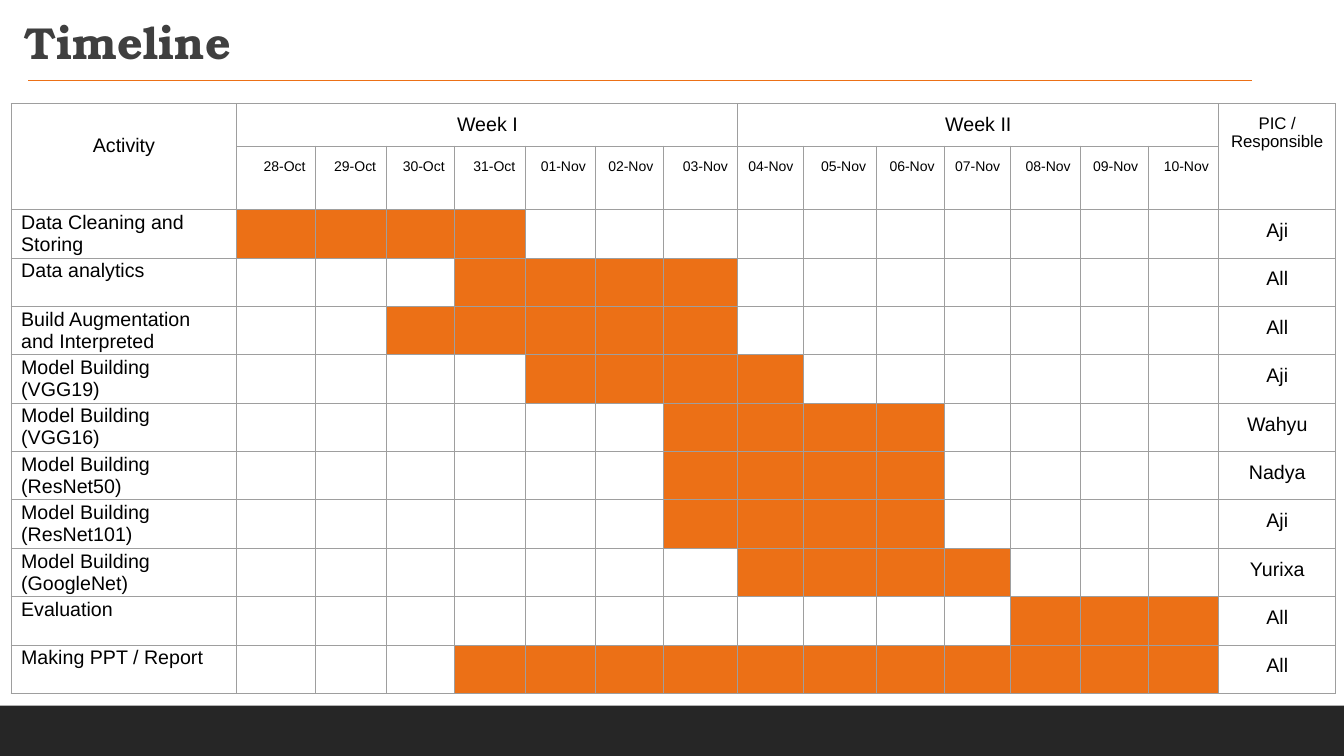
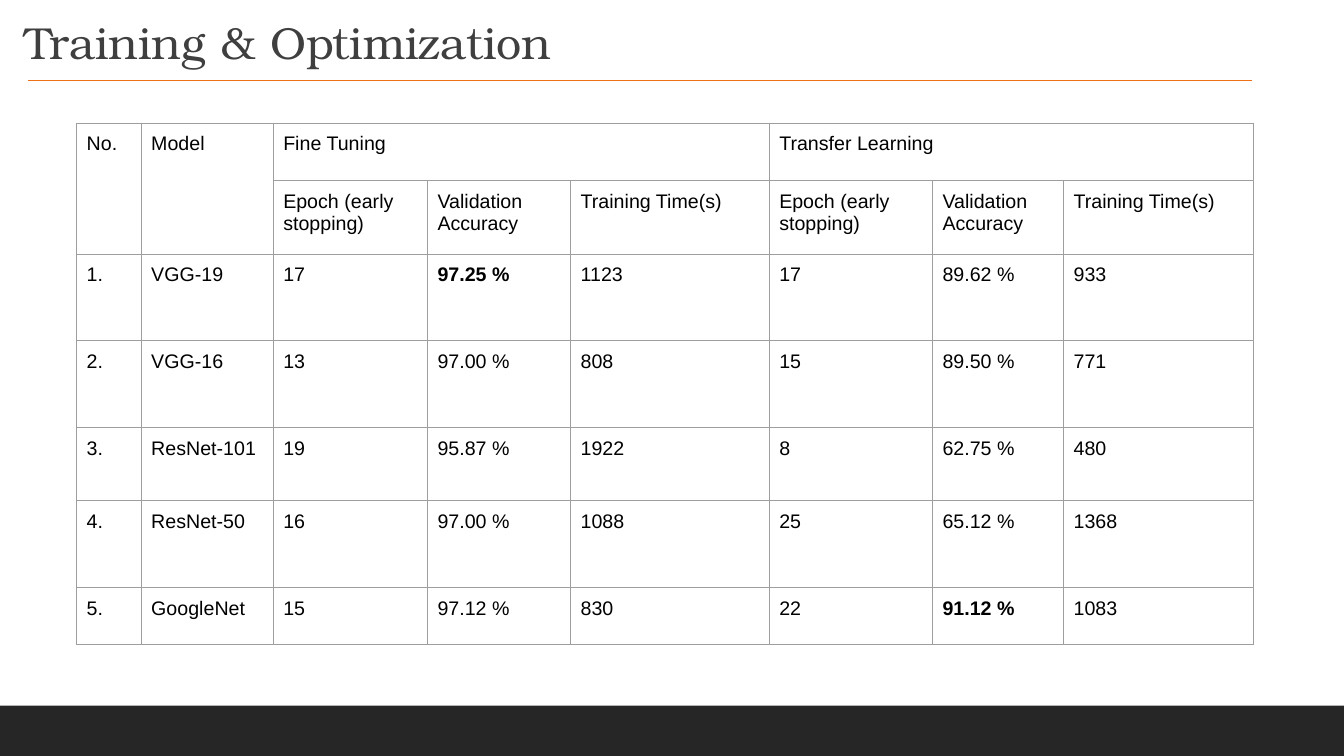
"""Build the project timeline and training results slides."""
from lxml import etree
from pptx import Presentation
from pptx import util as u
from pptx.dml.color import RGBColor
from pptx.enum import shapes, text
from pptx.oxml import ns

COLOURS = {
    "bar": "EC7016",
    "band": "262626",
    "title": "3F3F3F",
    "body": "000000",
    "border": "9E9E9E",
    "paper": "FFFFFF",
}
TITLE_FONT = "TeX Gyre Bonum"
BODY_FONT = "Arial"

WEEKS = ["Week I", "Week II"]
DAYS_PER_WEEK = 7
DATES = [
    "28-Oct", "29-Oct", "30-Oct", "31-Oct", "01-Nov", "02-Nov", "03-Nov",
    "04-Nov", "05-Nov", "06-Nov", "07-Nov", "08-Nov", "09-Nov", "10-Nov",
]
ACTIVITIES = [
    ("Data Cleaning and Storing", "28-Oct", "31-Oct", "Aji"),
    ("Data analytics", "31-Oct", "03-Nov", "All"),
    ("Build Augmentation and Interpreted", "30-Oct", "03-Nov", "All"),
    ("Model Building (VGG19)", "01-Nov", "04-Nov", "Aji"),
    ("Model Building (VGG16)", "03-Nov", "06-Nov", "Wahyu"),
    ("Model Building (ResNet50)", "03-Nov", "06-Nov", "Nadya"),
    ("Model Building (ResNet101)", "03-Nov", "06-Nov", "Aji"),
    ("Model Building (GoogleNet)", "04-Nov", "07-Nov", "Yurixa"),
    ("Evaluation", "08-Nov", "10-Nov", "All"),
    ("Making PPT / Report", "31-Oct", "10-Nov", "All"),
]
TIMELINE_COLUMNS = [2.24, 0.78, 0.7, 0.68, 0.7, 0.7, 0.67, 0.74,
                    0.65, 0.72, 0.68, 0.65, 0.7, 0.67, 0.7, 1.16]
TIMELINE_ROWS = [0.42, 0.63] + [0.48] * len(ACTIVITIES)

KEYS = ["No.", "Model"]
METHODS = ["Fine Tuning", "Transfer Learning"]
MEASURES = ["Epoch (early stopping)", "Validation Accuracy", "Training Time(s)"]
RESULTS = [
    ("1.", "VGG-19", "17", "97.25 %", "1123", "17", "89.62 %", "933"),
    ("2.", "VGG-16", "13", "97.00 %", "808", "15", "89.50 %", "771"),
    ("3.", "ResNet-101", "19", "95.87 %", "1922", "8", "62.75 %", "480"),
    ("4.", "ResNet-50", "16", "97.00 %", "1088", "25", "65.12 %", "1368"),
    ("5.", "GoogleNet", "15", "97.12 %", "830", "22", "91.12 %", "1083"),
]
BEST = {"97.25 %", "91.12 %"}
RESULT_COLUMNS = [0.64, 1.31, 1.53, 1.42, 1.97, 1.62, 1.3, 1.88]
RESULT_ROWS = [0.57, 0.73, 0.86, 0.86, 0.73, 0.86, 0.56]


def colour(name):
    return RGBColor.from_string(COLOURS[name])


def write(frame, words, size=14, font=BODY_FONT, ink="body", bold=False,
          align="LEFT", spacing=1.0):
    para = frame.paragraphs[0]
    para.alignment = getattr(text.PP_ALIGN, align)
    para.line_spacing = spacing
    span = para.add_run()
    span.text = words
    span.font.size = u.Pt(size)
    span.font.name = font
    span.font.bold = bold
    span.font.color.rgb = colour(ink)


def write_cell(cell, words, top=0.1, bottom=0.1, **style):
    cell.margin_left = cell.margin_right = u.Inches(0.1)
    cell.margin_top, cell.margin_bottom = u.Inches(top), u.Inches(bottom)
    write(cell.text_frame, words, **style)


def paint(cell, name):
    cell.fill.solid()
    cell.fill.fore_color.rgb = colour(name)


def add_borders(cell):
    properties = cell._tc.get_or_add_tcPr()
    for place, side in enumerate(("lnL", "lnR", "lnT", "lnB")):
        line = etree.Element(ns.qn(f"a:{side}"), w=str(u.Pt(0.75)))
        fill = etree.SubElement(line, ns.qn("a:solidFill"))
        etree.SubElement(fill, ns.qn("a:srgbClr"), val=COLOURS["border"])
        properties.insert(place, line)


def add_grid(slide, left, top, columns, rows):
    table = slide.shapes.add_table(
        len(rows), len(columns), u.Inches(left), u.Inches(top),
        u.Inches(sum(columns)), u.Inches(sum(rows))).table
    table.first_row = table.horz_banding = False
    for column, width in zip(table.columns, columns):
        column.width = u.Inches(width)
    for row, height in zip(table.rows, rows):
        row.height = u.Inches(height)
    for cell in table.iter_cells():
        paint(cell, "paper")
        add_borders(cell)
    return table


def add_group_headers(table, labels, first, width, **style):
    for index, label in enumerate(labels):
        start = first + index * width
        table.cell(0, start).merge(table.cell(0, start + width - 1))
        write_cell(table.cell(0, start), label, **style)


def add_tall_header(table, column, label, **style):
    table.cell(0, column).merge(table.cell(1, column))
    write_cell(table.cell(0, column), label, **style)


def prepare_layout(deck):
    layout = deck.slide_layouts.get_by_name("Title Only")
    title = layout.placeholders[0]
    title.left, title.top = u.Inches(0.14), u.Inches(0.16)
    title.width, title.height = u.Inches(6.67), u.Inches(1.59)
    return layout


def add_master_band(deck, slide):
    band = slide.shapes.add_shape(
        shapes.MSO_SHAPE.RECTANGLE, 0, u.Inches(7), deck.slide_width, u.Inches(0.5))
    band.shadow.inherit = False
    band.fill.solid()
    band.fill.fore_color.rgb = colour("band")
    band.line.fill.background()
    deck.slide_master.shapes[0].element.addprevious(band.element)


def add_slide(deck, layout, heading, bold=False):
    slide = deck.slides.add_slide(layout)
    frame = slide.shapes.title.text_frame
    frame.auto_size = text.MSO_AUTO_SIZE.NONE
    frame.vertical_anchor = text.MSO_ANCHOR.TOP
    write(frame, heading, size=32, font=TITLE_FONT, ink="title", bold=bold, spacing=0.9)
    rule = slide.shapes.add_connector(
        shapes.MSO_CONNECTOR.STRAIGHT,
        u.Inches(0.28), u.Inches(0.8), u.Inches(12.42), u.Inches(0.8))
    rule.line.color.rgb = colour("bar")
    rule.line.width = u.Pt(1)
    etree.SubElement(rule.element.spPr, ns.qn("a:effectLst"))
    return slide


def fill_timeline(slide):
    table = add_grid(slide, 0.11, 1.03, TIMELINE_COLUMNS, TIMELINE_ROWS)
    person_column = len(DATES) + 1
    add_tall_header(table, 0, "Activity", top=0.31, align="CENTER")
    add_tall_header(table, person_column, "PIC / Responsible", size=12, align="CENTER")
    add_group_headers(table, WEEKS, 1, DAYS_PER_WEEK, align="CENTER")
    for column, date in enumerate(DATES, 1):
        write_cell(table.cell(1, column), date, size=10, align="RIGHT", spacing=1.15)
    for row, (activity, start, end, person) in enumerate(ACTIVITIES, 2):
        write_cell(table.cell(row, 0), activity, top=0.02, bottom=0.02)
        write_cell(table.cell(row, person_column), person, align="CENTER")
        for column in range(DATES.index(start) + 1, DATES.index(end) + 2):
            paint(table.cell(row, column), "bar")


def fill_results(slide):
    table = add_grid(slide, 0.76, 1.22, RESULT_COLUMNS, RESULT_ROWS)
    for column, label in enumerate(KEYS):
        add_tall_header(table, column, label)
    add_group_headers(table, METHODS, len(KEYS), len(MEASURES))
    for column, label in enumerate(MEASURES * len(METHODS), len(KEYS)):
        write_cell(table.cell(1, column), label)
    for row, values in enumerate(RESULTS, 2):
        for column, value in enumerate(values):
            write_cell(table.cell(row, column), value, bold=value in BEST)


def main():
    deck = Presentation()
    deck.slide_width, deck.slide_height = u.Inches(13.33), u.Inches(7.5)
    layout = prepare_layout(deck)
    timeline = add_slide(deck, layout, "Timeline", bold=True)
    add_master_band(deck, timeline)
    fill_timeline(timeline)
    fill_results(add_slide(deck, layout, "Training & Optimization"))
    deck.save("out.pptx")


if __name__ == "__main__":
    main()
